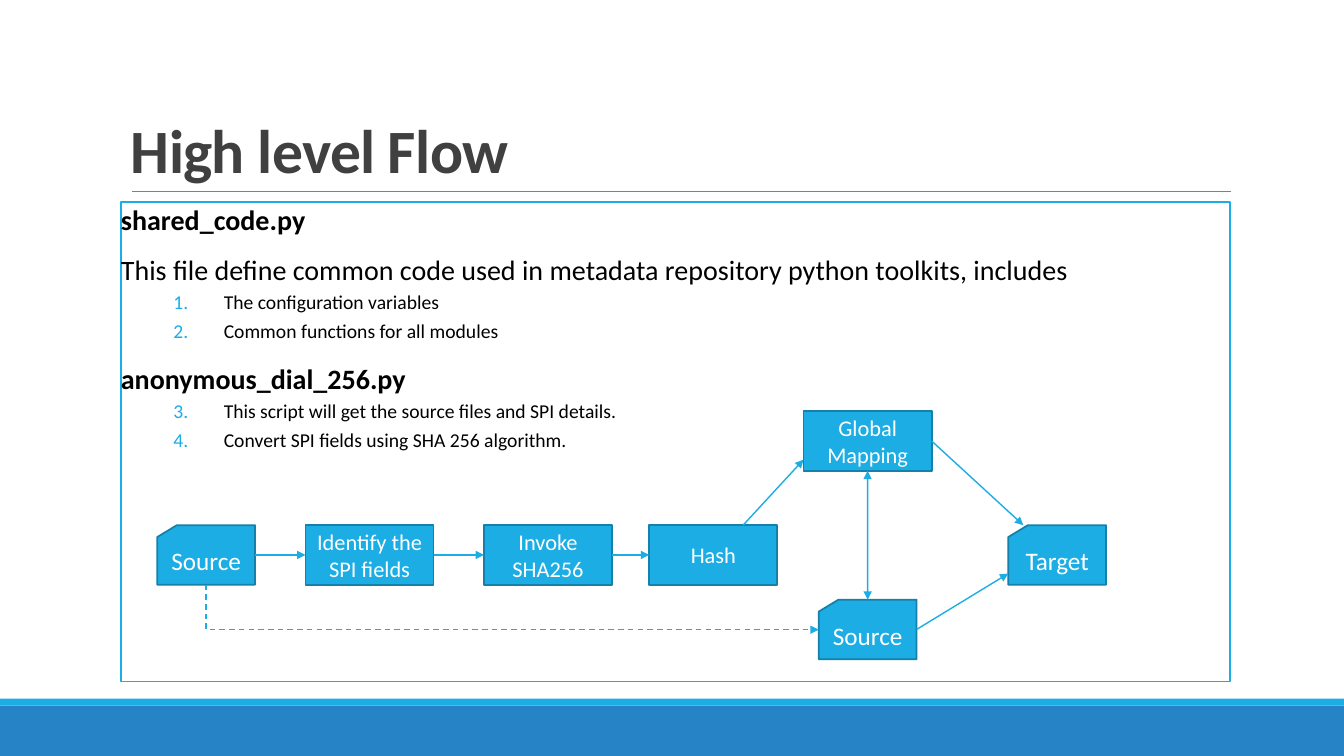
import dataclasses

import lxml.etree
import pptx
import pptx.dml.color
import pptx.enum.dml
import pptx.enum.shapes
import pptx.enum.text
import pptx.oxml.ns
import pptx.util

SHAPE = pptx.enum.shapes.MSO_SHAPE
CONNECTOR = pptx.enum.shapes.MSO_CONNECTOR
ANCHOR = pptx.enum.text.MSO_ANCHOR
TOP, LEFT, BOTTOM, RIGHT = range(4)


@dataclasses.dataclass(frozen=True)
class Theme:
    font: str = "Calibri"
    accent: str = "1CADE4"
    accent_edge: str = "1580A9"
    footer: str = "2683C6"
    rule: str = "808080"
    title: str = "404040"
    ink: str = "000000"
    paper: str = "FFFFFF"
    title_size: int = 44
    body_size: int = 20
    item_size: int = 14
    card_size: int = 18
    step_size: int = 16


THEME = Theme()
WIDTH = pptx.util.Inches(13.33)
HEIGHT = pptx.util.Inches(7.5)
CARD_WIDTH, STEP_WIDTH, NODE_HEIGHT = 7.28, 9.53, 7.87
FLOW_ROW = 69.47
BODY = [
    ("shared_code.py", True, None),
    ("This file define common code used in metadata repository python toolkits, includes", False, None),
    ("The configuration variables", False, 1),
    ("Common functions for all modules", False, 1),
    ("anonymous_dial_256.py", True, None),
    ("This script will get the source files and SPI details.", False, 3),
    ("Convert SPI fields using SHA 256 algorithm.", False, 3),
]


def column(share):
    return round(WIDTH * share / 100)


def row(share):
    return round(HEIGHT * share / 100)


def area(left, top, width, height):
    return column(left), row(top), column(width), row(height)


def rgb(code):
    return pptx.dml.color.RGBColor.from_string(code)


def add_child(parent, tag, **attributes):
    return lxml.etree.SubElement(parent, pptx.oxml.ns.qn(tag), attributes)


def style_para(para, size, color, bold=False):
    for span in para.runs:
        span.font.name = THEME.font
        span.font.size = pptx.util.Pt(size)
        span.font.bold = bold
        span.font.color.rgb = rgb(color)


def add_box(page, kind, place, fill, edge=None):
    box = page.shapes.add_shape(kind, *area(*place))
    box.shadow.inherit = False
    box.fill.solid()
    box.fill.fore_color.rgb = rgb(fill)
    if edge:
        box.line.color.rgb = rgb(edge)
        box.line.width = pptx.util.Pt(1.25)
    else:
        box.line.fill.background()
    return box


def add_node(page, text, kind, left, top, width, size):
    box = add_box(page, kind, (left, top, width, NODE_HEIGHT), THEME.accent, THEME.accent_edge)
    box.text_frame.text = text
    box.text_frame.word_wrap = True
    box.text_frame.vertical_anchor = ANCHOR.MIDDLE
    para = box.text_frame.paragraphs[0]
    para.alignment = pptx.enum.text.PP_ALIGN.CENTER
    style_para(para, size, THEME.paper)
    return box


def add_card(page, text, left, top):
    return add_node(page, text, SHAPE.FLOWCHART_CARD, left, top, CARD_WIDTH, THEME.card_size)


def add_step(page, text, left, top):
    return add_node(page, text, SHAPE.RECTANGLE, left, top, STEP_WIDTH, THEME.step_size)


def style_line(line, color, weight, ends=(), dashed=False):
    line.line.color.rgb = rgb(color)
    line.line.width = pptx.util.Pt(weight)
    if dashed:
        line.line.dash_style = pptx.enum.dml.MSO_LINE.DASH
    properties = line._element.spPr
    for end in ends:
        add_child(properties.find(pptx.oxml.ns.qn("a:ln")), end, type="triangle")
    add_child(properties, "a:effectLst")


def add_rule(page, left, right, top):
    line = page.shapes.add_connector(CONNECTOR.STRAIGHT, column(left), row(top), column(right), row(top))
    style_line(line, THEME.rule, 0.5)


def add_arrow(page, start, end, ends=("a:tailEnd",)):
    line = page.shapes.add_connector(CONNECTOR.STRAIGHT, 0, 0, 0, 0)
    if isinstance(start[0], (int, float)):
        line.begin_x, line.begin_y = column(start[0]), row(start[1])
    else:
        line.begin_connect(*start)
    if isinstance(end[0], (int, float)):
        line.end_x, line.end_y = column(end[0]), row(end[1])
    else:
        line.end_connect(*end)
    style_line(line, THEME.accent, 1, ends)


def add_down_right_arrow(page, start, end):
    across, down = column(end[0] - start[0]), row(end[1] - start[1])
    left = column(start[0]) + (across - down) // 2
    top = row(start[1]) + (down - across) // 2
    line = page.shapes.add_connector(CONNECTOR.ELBOW, left, top, left + down, top + across)
    properties = line._element.spPr
    properties.find(pptx.oxml.ns.qn("a:prstGeom")).set("prst", "bentConnector2")
    frame = properties.find(pptx.oxml.ns.qn("a:xfrm"))
    frame.set("rot", str(270 * 60000))
    frame.set("flipH", "1")
    style_line(line, THEME.accent, 1, ("a:tailEnd",), dashed=True)


def number_para(para, first):
    properties = para._p.get_or_add_pPr()
    properties.set("lvl", "1")
    properties.set("marL", str(pptx.util.Inches(1.02)))
    properties.set("indent", str(pptx.util.Inches(-0.5)))
    add_child(add_child(properties, "a:buClr"), "a:srgbClr", val=THEME.accent)
    add_child(properties, "a:buFont", typeface="+mj-lt")
    add_child(properties, "a:buAutoNum", type="arabicPeriod", startAt=str(first))


def add_title(page, text):
    box = page.shapes.add_textbox(*area(9, 4.13, 82.52, 21.2))
    box.text_frame.text = text
    box.text_frame.word_wrap = True
    box.text_frame.vertical_anchor = ANCHOR.BOTTOM
    para = box.text_frame.paragraphs[0]
    para.line_spacing = 0.85
    style_para(para, THEME.title_size, THEME.title, True)
    para.runs[0].font._element.set("spc", "-50")


def add_body(page):
    box = add_box(page, SHAPE.RECTANGLE, (9, 26.67, 82.52, 63.47), THEME.paper, THEME.accent)
    frame = box.text_frame
    frame.word_wrap = True
    frame.vertical_anchor = ANCHOR.TOP
    frame.margin_left = frame.margin_right = 0
    frame.text = "\n".join(text for text, bold, first in BODY)
    for para, (text, bold, first) in zip(frame.paragraphs, BODY):
        para.alignment = pptx.enum.text.PP_ALIGN.LEFT
        para.line_spacing = 0.9
        para.space_before = pptx.util.Pt(2 if first else 12)
        para.space_after = pptx.util.Pt(4 if first else 2)
        style_para(para, THEME.item_size if first else THEME.body_size, THEME.ink, bold)
        if first:
            number_para(para, first)


def add_flow(page):
    source = add_card(page, "Source", 11.7, FLOW_ROW)
    identify = add_step(page, "Identify the SPI fields", 22.73, FLOW_ROW)
    invoke = add_step(page, "Invoke SHA256", 36.01, FLOW_ROW)
    hashing = add_step(page, "Hash", 48.31, FLOW_ROW)
    mapping = add_step(page, "Global Mapping", 59.79, 54.4)
    mapped_source = add_card(page, "Source", 60.92, 79.33)
    add_card(page, "Target", 75.02, FLOW_ROW)
    chain = [source, identify, invoke, hashing]
    for before, after in zip(chain, chain[1:]):
        add_arrow(page, (before, RIGHT), (after, LEFT))
    add_arrow(page, (55.29, FLOW_ROW), (59.79, 60.8))
    add_down_right_arrow(page, (15.34, 77.33), (60.92, 83.3))
    add_arrow(page, (mapping, BOTTOM), (mapped_source, TOP), ("a:headEnd", "a:tailEnd"))
    add_arrow(page, (mapping, RIGHT), (76.14, FLOW_ROW))
    add_arrow(page, (mapped_source, RIGHT), (75.02, 75.87))


def main():
    deck = pptx.Presentation()
    deck.slide_width, deck.slide_height = WIDTH, HEIGHT
    page = deck.slides.add_slide(deck.slide_layouts[6])
    add_box(page, SHAPE.RECTANGLE, (0, 93.33, 100, 6.67), THEME.footer)
    add_box(page, SHAPE.RECTANGLE, (0, 92.4, 100, 0.93), THEME.accent)
    add_rule(page, 9.83, 91.6, 25.33)
    add_title(page, "High level Flow")
    add_body(page)
    add_flow(page)
    deck.save("out.pptx")


if __name__ == "__main__":
    main()
